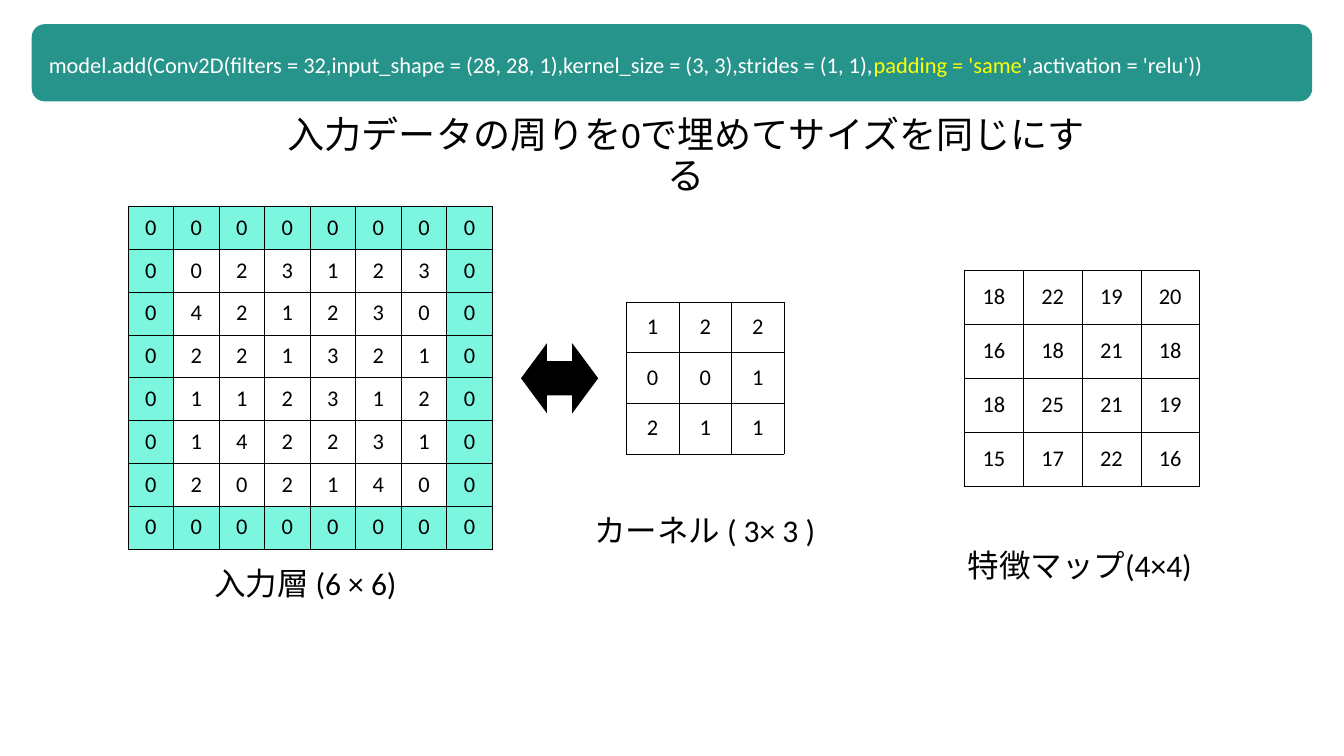
import lxml.etree
import pptx
import pptx.dml.color
import pptx.enum.shapes
import pptx.enum.text
import pptx.oxml.ns
import pptx.util

Cm = pptx.util.Cm
Pt = pptx.util.Pt
qn = pptx.oxml.ns.qn
MIDDLE = pptx.enum.text.MSO_ANCHOR.MIDDLE
LEFT = pptx.enum.text.PP_ALIGN.LEFT
CENTER = pptx.enum.text.PP_ALIGN.CENTER
PRESET = pptx.enum.shapes.MSO_SHAPE

BLACK = pptx.dml.color.RGBColor(0x00, 0x00, 0x00)
WHITE = pptx.dml.color.RGBColor(0xFF, 0xFF, 0xFF)
YELLOW = pptx.dml.color.RGBColor(0xFF, 0xFF, 0x00)
TEAL = pptx.dml.color.RGBColor(0x26, 0x94, 0x8B)
MINT = pptx.dml.color.RGBColor(0x7C, 0xF6, 0xDF)

INPUT = [
    [0, 2, 3, 1, 2, 3],
    [4, 2, 1, 2, 3, 0],
    [2, 2, 1, 3, 2, 1],
    [1, 1, 2, 3, 1, 2],
    [1, 4, 2, 2, 3, 1],
    [2, 0, 2, 1, 4, 0],
]
KERNEL = [[1, 2, 2], [0, 0, 1], [2, 1, 1]]
FEATURE_MAP = [
    [18, 22, 19, 20],
    [16, 18, 21, 18],
    [18, 25, 21, 19],
    [15, 17, 22, 16],
]


def zero_padded(matrix):
    edge = [0] * (len(matrix[0]) + 2)
    return [edge] + [[0, *row, 0] for row in matrix] + [edge]


class Painter:
    font = "Calibri"
    inset = Cm(0.15)
    line_spacing = 0.9
    code_size = 32
    cell_size = 32
    caption_size = 45
    title_size = 53

    def __init__(self, slide):
        self.slide = slide

    def style(self, paragraph, size, align):
        paragraph.alignment = align
        paragraph.line_spacing = self.line_spacing
        paragraph.font.name = self.font
        paragraph.font.size = Pt(size)

    def text(self, left, top, width, height, runs, size, align=LEFT):
        box = self.slide.shapes.add_textbox(Cm(left), Cm(top), Cm(width), Cm(height))
        frame = box.text_frame
        frame.word_wrap = True
        frame.vertical_anchor = MIDDLE
        frame.margin_left = frame.margin_right = self.inset
        frame.margin_top = frame.margin_bottom = self.inset
        paragraph = frame.paragraphs[0]
        self.style(paragraph, size, align)
        for words, color in runs:
            run = paragraph.add_run()
            run.text = words
            run.font.color.rgb = color

    def caption(self, left, top, width, words):
        self.text(left, top, width, 2.67, [(words, BLACK)], self.caption_size)

    def shape(self, preset, left, top, width, height, color, adjustments=()):
        shape = self.slide.shapes.add_shape(
            preset, Cm(left), Cm(top), Cm(width), Cm(height)
        )
        shape.shadow.inherit = False
        shape.fill.solid()
        shape.fill.fore_color.rgb = color
        shape.line.fill.background()
        for index, value in enumerate(adjustments):
            shape.adjustments[index] = value

    def border(self, cell):
        properties = cell._tc.get_or_add_tcPr()
        for side in ("a:lnL", "a:lnR", "a:lnT", "a:lnB"):
            line = lxml.etree.SubElement(properties, qn(side), w=str(Pt(1)))
            fill = lxml.etree.SubElement(line, qn("a:solidFill"))
            lxml.etree.SubElement(fill, qn("a:srgbClr"), val=str(BLACK))

    def matrix(self, left, top, width, height, values, edge_color=WHITE):
        rows, columns = len(values), len(values[0])
        table = self.slide.shapes.add_table(
            rows, columns, Cm(left), Cm(top), Cm(width), Cm(height)
        ).table
        table.first_row = table.horz_banding = False
        for r, row in enumerate(values):
            for c, value in enumerate(row):
                on_edge = r in (0, rows - 1) or c in (0, columns - 1)
                self.cell(table.cell(r, c), value, edge_color if on_edge else WHITE)

    def cell(self, cell, value, color):
        cell.margin_left = cell.margin_right = self.inset
        cell.margin_top = cell.margin_bottom = self.inset
        cell.vertical_anchor = MIDDLE
        self.border(cell)
        cell.fill.solid()
        cell.fill.fore_color.rgb = color
        cell.text = str(value)
        paragraph = cell.text_frame.paragraphs[0]
        self.style(paragraph, self.cell_size, CENTER)
        paragraph.font.color.rgb = BLACK


def main():
    deck = pptx.Presentation()
    deck.slide_width, deck.slide_height = Cm(67.74), Cm(38.1)
    painter = Painter(deck.slides.add_slide(deck.slide_layouts[6]))

    title = "入力データの周りを0で埋めてサイズを同じにする"
    painter.text(13.44, 6.35, 42.32, 3.12, [(title, BLACK)], painter.title_size, CENTER)

    painter.caption(10.64, 28.14, 9.91, "入力層 (6 × 6)")
    painter.matrix(31.57, 15.21, 7.95, 7.67, KERNEL)
    painter.caption(29.79, 25.5, 11.56, "カーネル ( 3× 3 )")
    painter.matrix(6.45, 10.41, 18.36, 17.25, zero_padded(INPUT), MINT)
    painter.caption(48.62, 27.23, 11.81, "特徴マップ(4×4)")
    painter.shape(
        PRESET.LEFT_RIGHT_ARROW, 26.26, 17.3, 3.89, 3.53, BLACK, (0.49, 0.37)
    )
    painter.matrix(48.62, 13.61, 11.84, 10.9, FEATURE_MAP)

    painter.shape(PRESET.ROUNDED_RECTANGLE, 1.6, 1.22, 64.54, 3.89, TEAL)
    code = [
        (
            "model.add(Conv2D(filters = 32,input_shape = (28, 28, 1),"
            "kernel_size = (3, 3),strides = (1, 1),",
            WHITE,
        ),
        ("padding = 'same", YELLOW),
        ("',activation = 'relu'))", WHITE),
    ]
    painter.text(2.31, 2.57, 59.23, 1.52, code, painter.code_size)

    deck.save("out.pptx")


if __name__ == "__main__":
    main()
